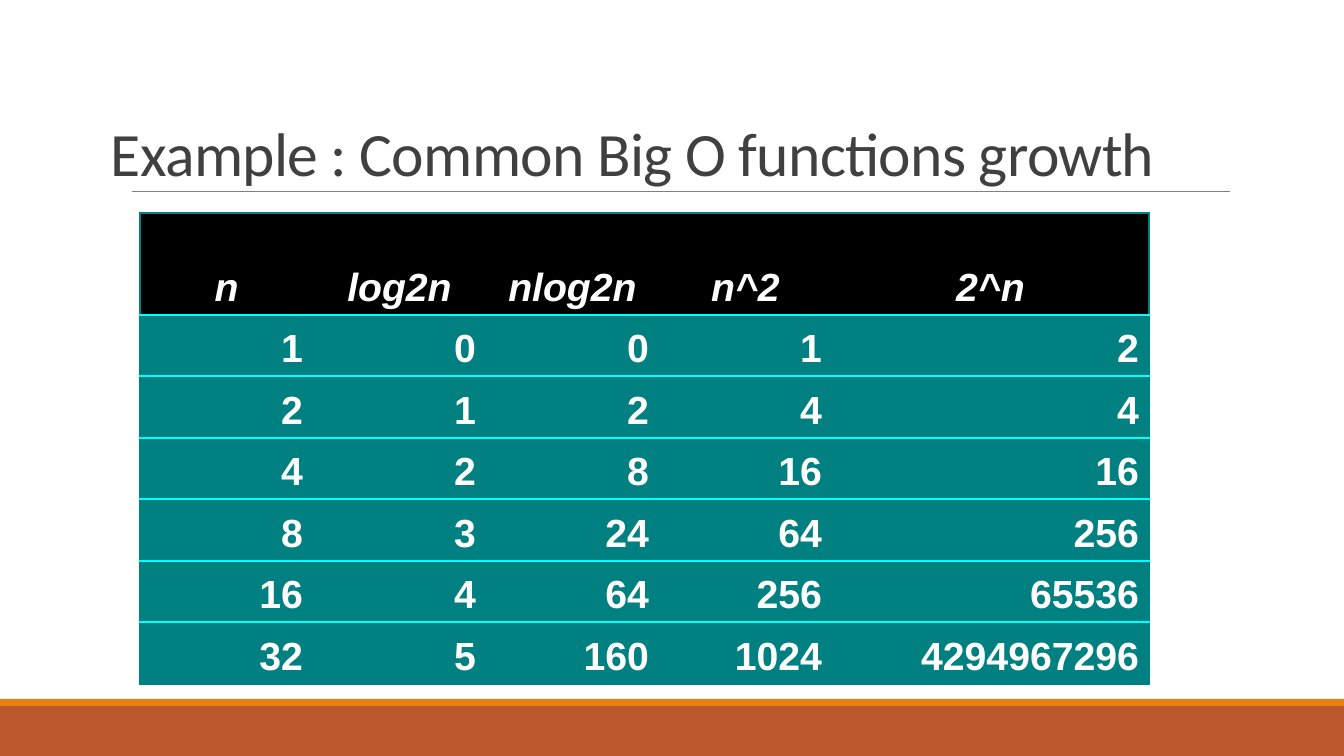
from lxml import etree
from pptx import Presentation
from pptx.dml.color import RGBColor
from pptx.enum.shapes import MSO_CONNECTOR, MSO_SHAPE
from pptx.enum.text import MSO_ANCHOR, PP_ALIGN
from pptx.oxml.ns import qn
from pptx.util import Pt

RECTANGLE = MSO_SHAPE.RECTANGLE
STRAIGHT = MSO_CONNECTOR.STRAIGHT
BOTTOM = MSO_ANCHOR.BOTTOM
CENTER, RIGHT = PP_ALIGN.CENTER, PP_ALIGN.RIGHT
EMU_PER_PX = 914400 / 100.8
TEAL, CYAN, BLACK = "008080", "00FFFF", "000000"


def px(length):
    return round(length * EMU_PER_PX)


def color(hex_text):
    return RGBColor.from_string(hex_text)


deck = Presentation()
deck.slide_width, deck.slide_height = px(1344), px(756)
page = deck.slides.add_slide(deck.slide_layouts[6])

# Footer bands
for top, height, fill in ((706, 50, "BD582C"), (699, 7, "E48312")):
    band = page.shapes.add_shape(RECTANGLE, 0, px(top), px(1344), px(height))
    band.shadow.inherit = False
    band.fill.solid()
    band.fill.fore_color.rgb = color(fill)
    band.line.fill.background()

# Rule under the title
rule = page.shapes.add_connector(STRAIGHT, px(132), px(191), px(1230), px(191))
rule.line.color.rgb = color("808080")
rule.line.width = Pt(0.5)
etree.SubElement(rule._element.spPr, qn("a:effectLst"))

# Title
title = page.shapes.add_textbox(px(101), px(68), px(1142), px(126))
frame = title.text_frame
frame.word_wrap = True
frame.vertical_anchor = BOTTOM
para = frame.paragraphs[0]
para.line_spacing = 0.85
span = para.add_run()
span.text = "Example : Common Big O functions growth"
for name, value in {"name": "Calibri", "size": Pt(44)}.items():
    setattr(span.font, name, value)
span.font.color.rgb = color("404040")
span._r.get_or_add_rPr().set("spc", "-50")

# Growth table
growth = [
    ["n", "log2n", "nlog2n", "n^2", "2^n"],
    ["1", "0", "0", "1", "2"],
    ["2", "1", "2", "4", "4"],
    ["4", "2", "8", "16", "16"],
    ["8", "3", "24", "64", "256"],
    ["16", "4", "64", "256", "65536"],
    ["32", "5", "160", "1024", "4294967296"],
]
column_widths = [173, 173, 173, 173, 317]
row_heights = [102] + [61, 62] * 3
last_row, last_column = len(growth) - 1, len(column_widths) - 1
table = page.shapes.add_table(
    len(growth), len(column_widths), px(140), px(213),
    px(sum(column_widths)), px(sum(row_heights))).table
for column, width in zip(table.columns, column_widths):
    column.width = px(width)
for row, height in zip(table.rows, row_heights):
    row.height = px(height)

for r, values in enumerate(growth):
    for c, value in enumerate(values):
        cell = table.cell(r, c)
        header = r == 0
        cell.vertical_anchor = BOTTOM

        # Teal frame outside, cyan lines between rows, none between columns
        frame_line, row_line = (TEAL, 2), (CYAN, 1)
        borders = {
            "a:lnL": frame_line if c == 0 else None,
            "a:lnR": frame_line if c == last_column else None,
            "a:lnT": frame_line if header else row_line,
            "a:lnB": frame_line if r == last_row else row_line,
        }
        properties = cell._tc.get_or_add_tcPr()
        for tag, border in borders.items():
            line = etree.SubElement(properties, qn(tag))
            if border is None:
                etree.SubElement(line, qn("a:noFill"))
                continue
            line.set("w", str(Pt(border[1])))
            fill = etree.SubElement(line, qn("a:solidFill"))
            etree.SubElement(fill, qn("a:srgbClr")).set("val", border[0])
        cell.fill.solid()
        cell.fill.fore_color.rgb = color(BLACK if header else TEAL)

        # Cell text with a hanging indent
        para = cell.text_frame.paragraphs[0]
        para.alignment = CENTER if header else RIGHT
        indent = para._p.get_or_add_pPr()
        indent.set("marL", str(px(38)))
        indent.set("indent", str(px(-38)))
        span = para.add_run()
        span.text = value
        text_format = {"name": "Arial", "size": Pt(28), "bold": True, "italic": header}
        for name, setting in text_format.items():
            setattr(span.font, name, setting)
        span.font.color.rgb = color("FFFFFF")

deck.save("out.pptx")
